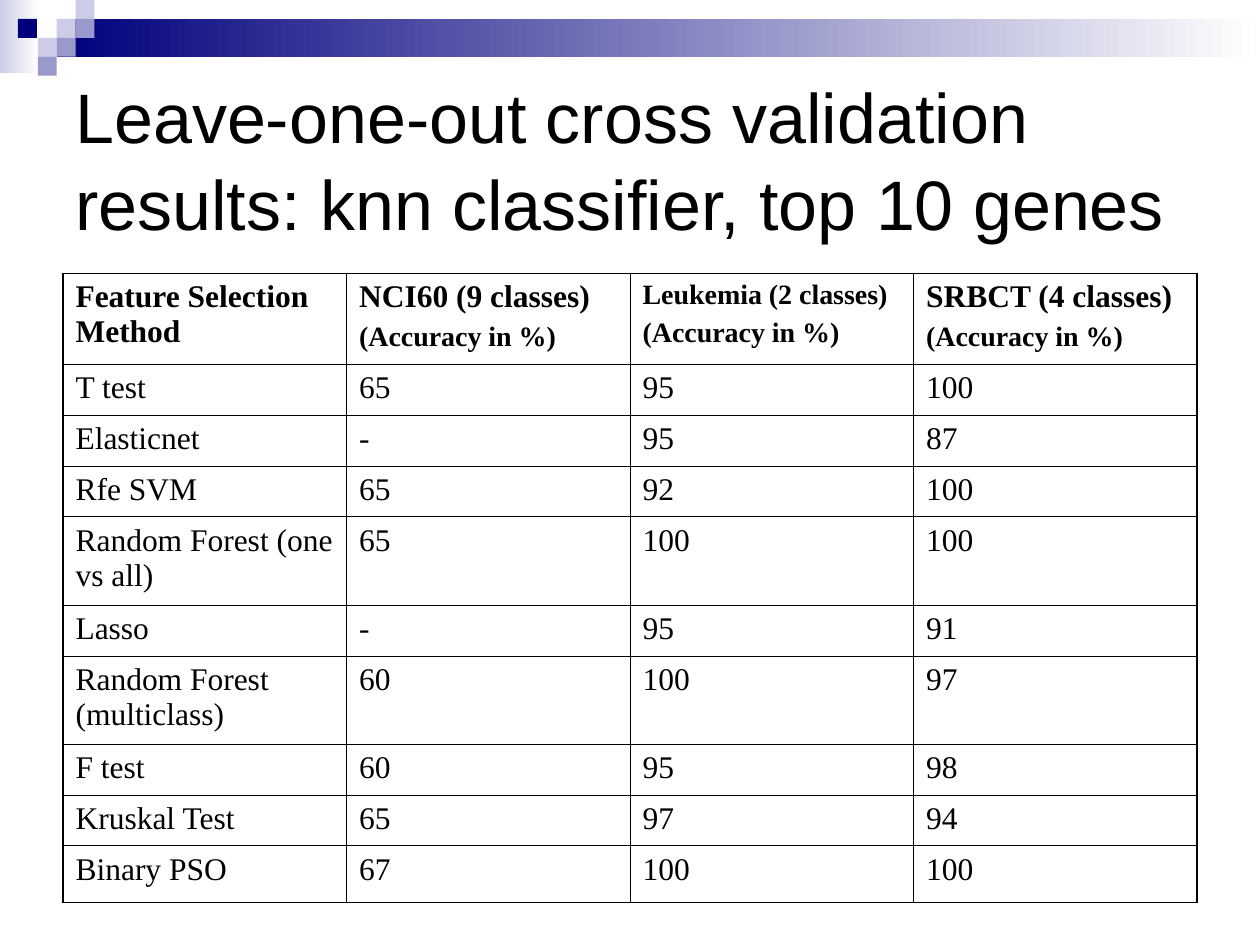
"""Build the slide of leave-one-out cross validation results."""
from lxml.etree import SubElement
from pptx import Presentation
from pptx.dml.color import RGBColor as RGB
from pptx.enum.shapes import MSO_SHAPE as SHAPE
from pptx.enum.text import MSO_ANCHOR as ANCHOR
from pptx.oxml.ns import qn
from pptx.util import Inches, Pt

COLORS = {"navy": "00007D", "pale": "CCCCE6", "mid": "9999CC",
          "white": "FFFFFF", "black": "000000"}
UNIT = 0.15
THICK, THIN = 1.08, 0.45


def set_font(p, name, size, bold=False):
    p.font.name, p.font.size, p.font.bold = name, Pt(size), bold
    p.font.color.rgb = RGB.from_string(COLORS["black"])


def add_border(cell, tag, width):
    ln = SubElement(cell._tc.get_or_add_tcPr(), qn(f"a:{tag}"), w=str(int(Pt(width))))
    fill = SubElement(ln, qn("a:solidFill"))
    SubElement(fill, qn("a:srgbClr"), val=COLORS["black"])


prs = Presentation()
prs.slide_width, prs.slide_height = Inches(10), Inches(7.5)
s = prs.slides.add_slide(prs.slide_layouts[6])

blocks = [
    (0, 0, 2.05, 3.85, ["pale", "white"]),
    (3, 1, 10 / UNIT - 3, 2, ["navy", "white"]),
    (3, 1, 1, 1, ["pale"]),
    (4, 0, 1, 1, ["pale"]),
    (4, 1, 1, 1, ["mid"]),
    (2, 2, 1, 1, ["pale"]),
    (0.95, 1, 1, 1, ["navy"]),
    (3, 2, 1, 1, ["mid"]),
    (2, 3, 1, 1, ["mid"]),
]
for col, row, wide, high, names in blocks:
    sp = s.shapes.add_shape(SHAPE.RECTANGLE, *(Inches(n * UNIT) for n in (col, row, wide, high)))
    sp.shadow.inherit = False
    sp.line.fill.background()
    if len(names) == 1:
        sp.fill.solid()
        sp.fill.fore_color.rgb = RGB.from_string(COLORS[names[0]])
    else:
        sp.fill.gradient()
        sp.fill.gradient_angle = 0
        for stop, name in zip(sp.fill.gradient_stops, names):
            stop.color.rgb = RGB.from_string(COLORS[name])

title = s.shapes.add_textbox(Inches(0.5), Inches(0.5), Inches(9), Inches(1.5))
tf = title.text_frame
tf.word_wrap = True
tf.vertical_anchor = ANCHOR.MIDDLE
p = tf.paragraphs[0]
p.text = "Leave-one-out cross validation results: knn classifier, top 10 genes"
p.line_spacing = 1.04
set_font(p, "Arial", 40)

rows = [
    ("Feature Selection Method", "NCI60 (9 classes)\n(Accuracy in %)",
     "Leukemia (2 classes)\n(Accuracy in %)", "SRBCT (4 classes)\n(Accuracy in %)"),
    ("T test", "65", "95", "100"),
    ("Elasticnet", "-", "95", "87"),
    ("Rfe SVM", "65", "92", "100"),
    ("Random Forest (one vs all)", "65", "100", "100"),
    ("Lasso", "-", "95", "91"),
    ("Random Forest (multiclass)", "60", "100", "97"),
    ("F test", "60", "95", "98"),
    ("Kruskal Test", "65", "97", "94"),
    ("Binary PSO", "67", "100", "100"),
]
width, height = 9, 4.99
last_row, last_col = len(rows) - 1, len(rows[0]) - 1
heights = {0: 0.72, 4: 0.7, 6: 0.7, last_row: 0.45}
plain = (height - sum(heights.values())) / (len(rows) - len(heights))

frame = s.shapes.add_table(len(rows), len(rows[0]), Inches(0.5), Inches(2.17),
                           Inches(width), Inches(height))
table = frame.table
table.first_row = table.horz_banding = False
for column in table.columns:
    column.width = Inches(width / len(rows[0]))
for i, texts in enumerate(rows):
    table.rows[i].height = Inches(heights.get(i, plain))
    for j, text in enumerate(texts):
        cell = table.cell(i, j)
        for tag, outer in (("lnL", j == 0), ("lnR", j == last_col),
                           ("lnT", i == 0), ("lnB", i == last_row)):
            add_border(cell, tag, THICK if outer else THIN)
        cell.fill.background()
        cell.text = text
        for k, p in enumerate(cell.text_frame.paragraphs):
            small = k > 0 or text.startswith("Leukemia")
            set_font(p, "Times New Roman", 16 if small else 18, i == 0)
            if k:
                p.space_before = Pt(4)

prs.save("out.pptx")
